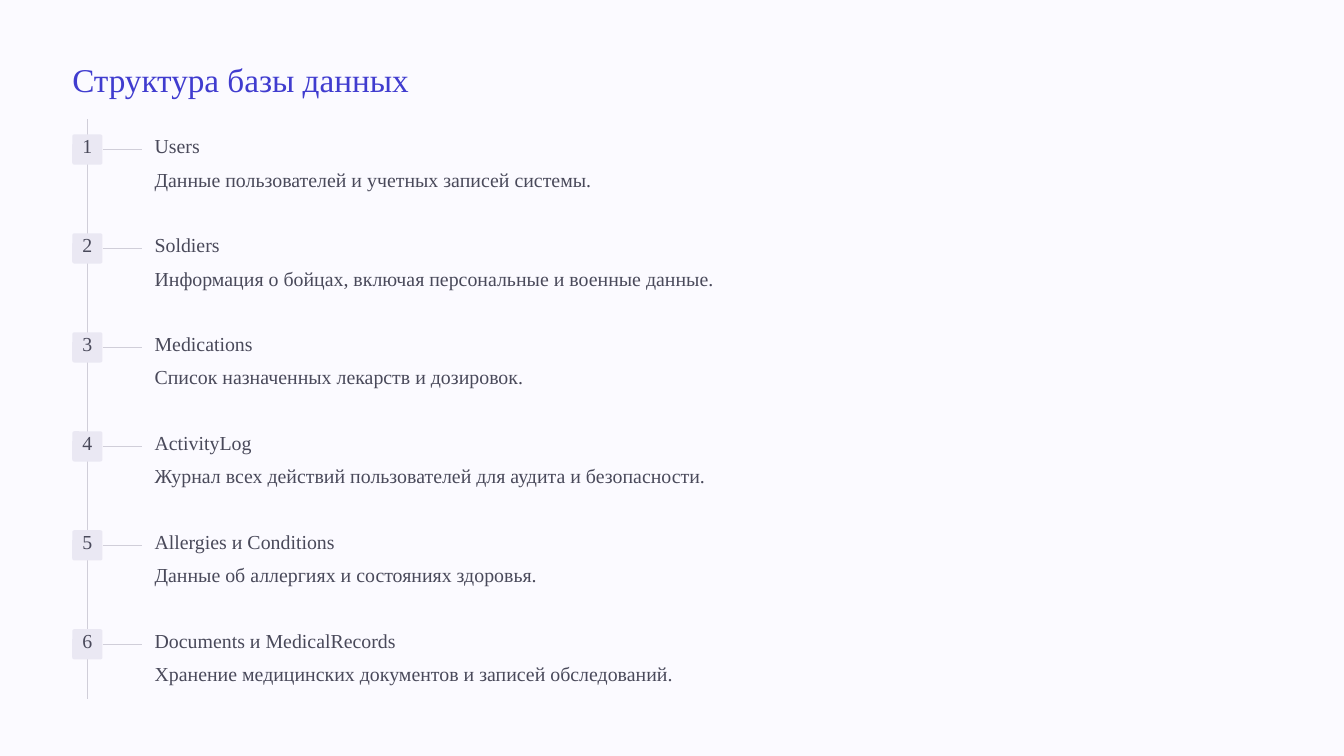
from dataclasses import dataclass

from lxml.etree import SubElement
from pptx import Presentation
from pptx.dml.color import RGBColor
from pptx.enum.shapes import MSO_CONNECTOR, MSO_SHAPE
from pptx.enum.text import MSO_ANCHOR, MSO_AUTO_SIZE, PP_ALIGN
from pptx.oxml.ns import qn
from pptx.shapes.autoshape import Shape
from pptx.shapes.connector import Connector
from pptx.slide import Slide
from pptx.text.text import TextFrame, _Paragraph
from pptx.util import Emu, Inches, Pt

WIDTH, HEIGHT = Inches(16), Inches(9)
FONT = "Times New Roman"
PAPER, BLUE, INK, LINE, BADGE = "FBFAFF", "403CCF", "49495A", "D0CED9", "EAE8F3"

# Grid, in percent of the slide's width and height
LEFT, RAIL, TICK, TEXT = 5.38, 6.53, 10.55, 11.5
FIRST, STEP = 17.78, 13.09
BOX_W, BOX_H = 2.25, 4


@dataclass
class Entry:
    name: str
    note: str


ENTRIES = [
    Entry("Users", "Данные пользователей и учетных записей системы."),
    Entry("Soldiers", "Информация о бойцах, включая персональные и военные данные."),
    Entry("Medications", "Список назначенных лекарств и дозировок."),
    Entry("ActivityLog", "Журнал всех действий пользователей для аудита и безопасности."),
    Entry("Allergies и Conditions", "Данные об аллергиях и состояниях здоровья."),
    Entry("Documents и MedicalRecords", "Хранение медицинских документов и записей обследований."),
]


def across(share: float) -> Emu:
    return Emu(round(WIDTH * share / 100))


def down(share: float) -> Emu:
    return Emu(round(HEIGHT * share / 100))


def color(code: str) -> RGBColor:
    return RGBColor.from_string(code)


def place(shape: Shape, x: float, y: float, w: float, h: float) -> None:
    shape.left, shape.top = across(x), down(y)
    shape.width, shape.height = across(w), down(h)


def frame(shape: Shape, wrap: bool = False) -> TextFrame:
    box = shape.text_frame
    box.margin_left = box.margin_right = box.margin_top = box.margin_bottom = 0
    box.auto_size = MSO_AUTO_SIZE.NONE
    box.word_wrap = wrap
    box.vertical_anchor = MSO_ANCHOR.TOP
    return box


def style(para: _Paragraph, size: float, lead: float, code: str,
          align: PP_ALIGN = PP_ALIGN.LEFT, before: float = 0) -> None:
    para.alignment = align
    para.line_spacing = Pt(lead)
    para.space_before, para.space_after = Pt(before), Pt(0)
    for run in para.runs:
        run.font.name, run.font.size = FONT, Pt(size)
        run.font.color.rgb = color(code)


def line(slide: Slide, x1: float, y1: float, x2: float, y2: float) -> Connector:
    wire = slide.shapes.add_connector(
        MSO_CONNECTOR.STRAIGHT, across(x1), down(y1), across(x2), down(y2))
    wire.line.color.rgb = color(LINE)
    wire.line.width = Pt(1.25)
    SubElement(wire._element.spPr, qn("a:effectLst"))
    return wire


def badge(slide: Slide, num: int, y: float) -> None:
    box = slide.shapes.add_shape(
        MSO_SHAPE.ROUNDED_RECTANGLE, across(LEFT), down(y), across(BOX_W), down(BOX_H))
    box.adjustments[0] = 0.07
    box.shadow.inherit = False
    box.fill.solid()
    box.fill.fore_color.rgb = color(BADGE)
    box.line.fill.background()
    text = frame(box)
    text.margin_top = Inches(0.03)
    text.text = str(num)
    style(text.paragraphs[0], 17, 17, INK, PP_ALIGN.CENTER)

    # Tick from the badge to its text
    mid = y + BOX_H / 2
    line(slide, LEFT + BOX_W, mid, TICK, mid).begin_connect(box, 3)


def listing(shape: Shape) -> None:
    place(shape, TEXT, 17.56, 80, 73.2)
    text = frame(shape, True)
    text.text = "\n".join(f"{e.name}\n{e.note}" for e in ENTRIES)
    for i, para in enumerate(text.paragraphs):
        gap = 7.1 if i % 2 else 34.7 if i else 0
        style(para, 17, 21.5, INK, before=gap)
        props = para._p.get_or_add_pPr()
        props.set("marL", "0")
        props.set("indent", "0")
        SubElement(props, qn("a:buNone"))


def main() -> None:
    deck = Presentation()
    deck.slide_width, deck.slide_height = WIDTH, HEIGHT
    slide = deck.slides.add_slide(deck.slide_layouts[1])
    slide.background.fill.solid()
    slide.background.fill.fore_color.rgb = color(PAPER)

    # Title
    title = slide.shapes.title
    place(title, LEFT, 7.56, 80, 5.56)
    head = frame(title, True)
    head.text = "Структура базы данных"
    style(head.paragraphs[0], 28.5, 36, BLUE)

    # Rail with numbered badges
    line(slide, RAIL, 15.78, RAIL, 92.44)
    for i in range(len(ENTRIES)):
        badge(slide, i + 1, FIRST + i * STEP)

    # Names and notes of the tables
    listing(slide.placeholders[1])
    deck.save("out.pptx")


if __name__ == "__main__":
    main()
